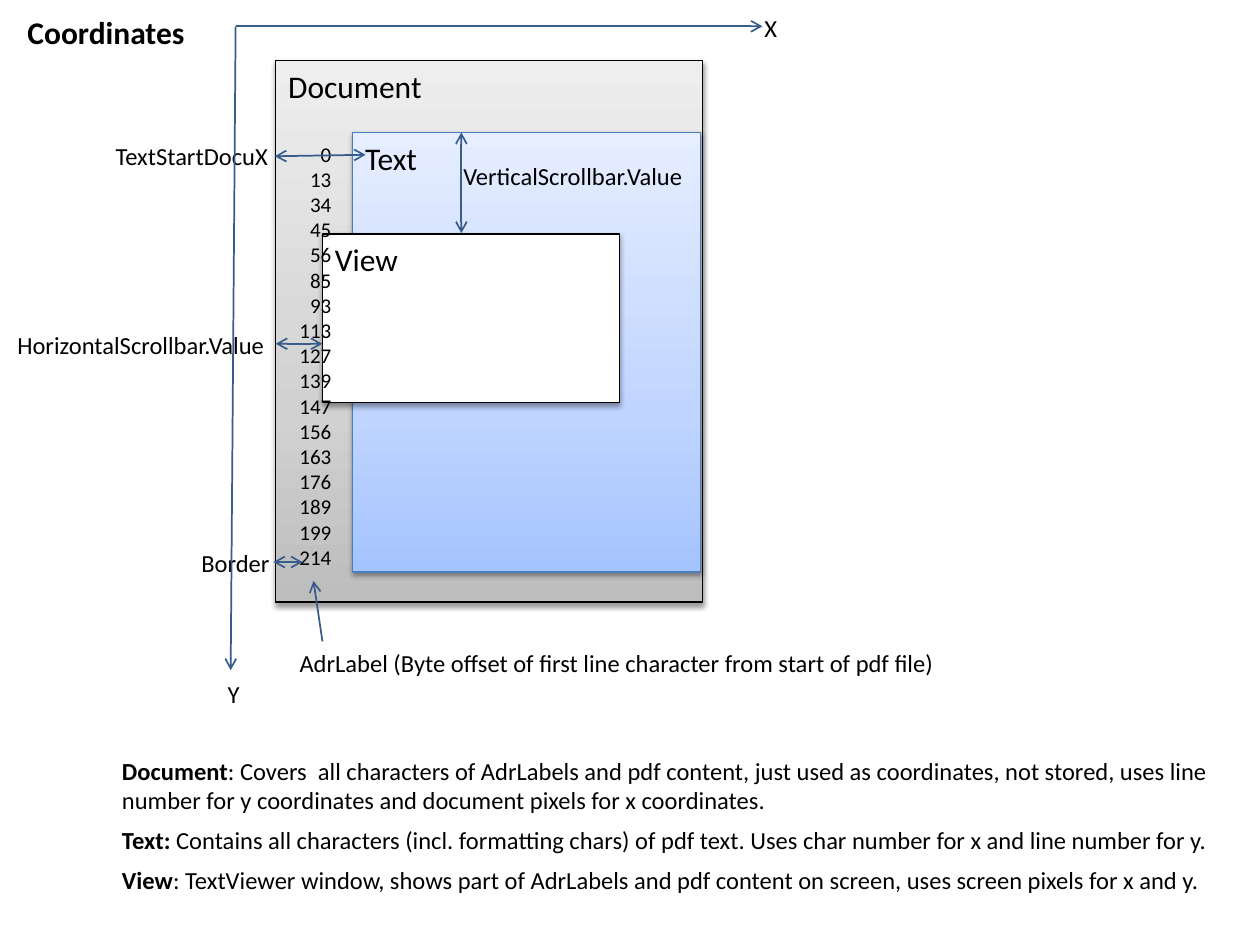
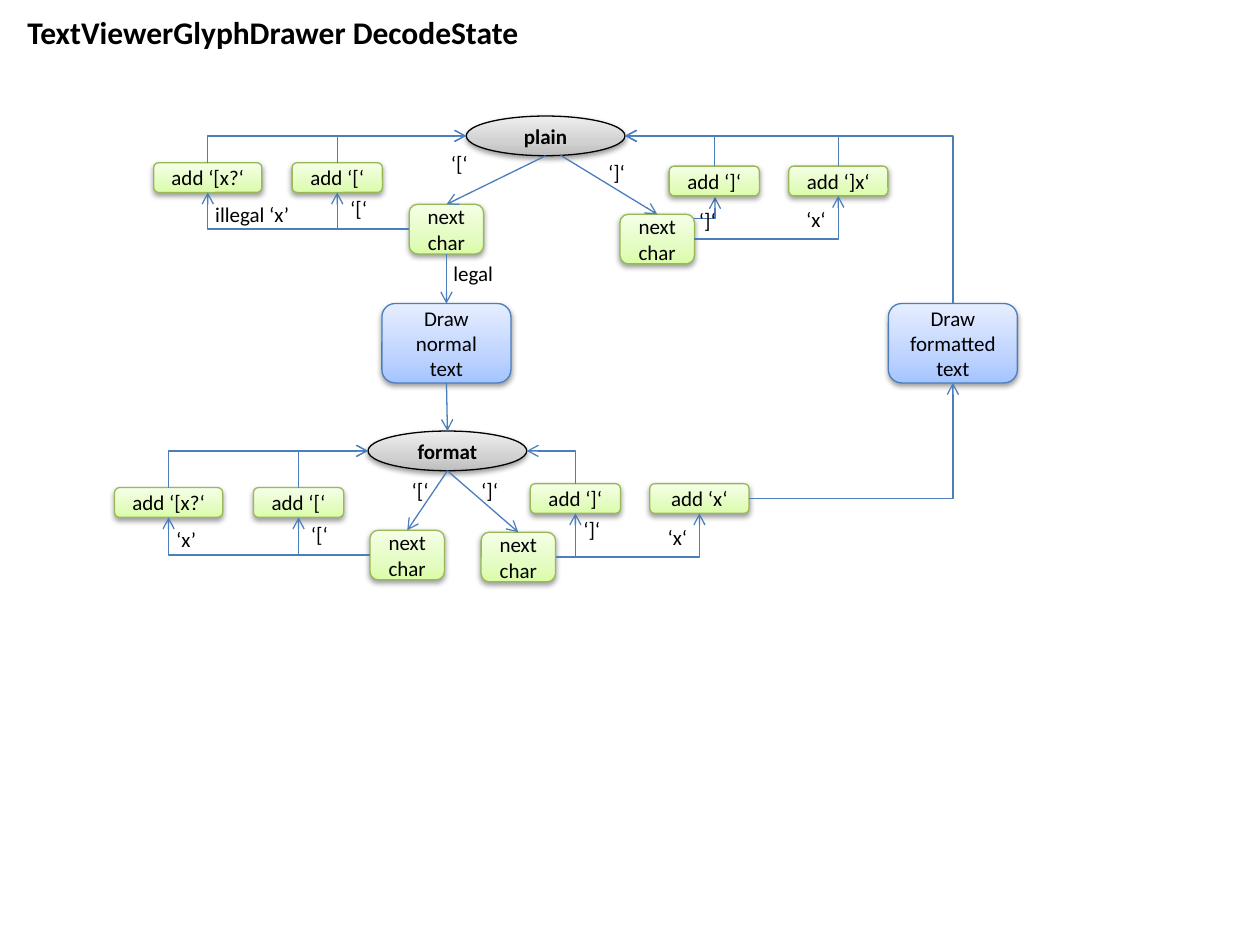
from copy import deepcopy
from dataclasses import dataclass

from lxml.etree import SubElement
from pptx import Presentation
from pptx.dml.color import RGBColor
from pptx.enum.shapes import MSO_CONNECTOR, MSO_SHAPE
from pptx.enum.text import MSO_ANCHOR, MSO_AUTO_SIZE, PP_ALIGN
from pptx.oxml.ns import qn
from pptx.util import Cm, Pt


@dataclass(frozen=True)
class Theme:
    font: str = "Calibri"
    ink: str = "000000"
    axis: str = "385D8A"
    flow: str = "4B7EBC"
    grey: tuple = (("BDBDBD", "D1D1D1", "EEEEEE"), "000000")
    blue: tuple = (("A4C4FF", "BFD4FF", "E6EEFF"), "4B7EBC")
    green: tuple = (("DAFDA7", "E4FCC2", "F5FFE7"), "98B955")
    white: tuple = (("FFFFFF",), "000000")
    heading: int = 18
    body: int = 14
    small: int = 12


theme = Theme()


def add_block(slide, frame, paragraphs, size, preset=None, look=None, wrap=True,
              align=PP_ALIGN.LEFT, anchor=MSO_ANCHOR.TOP, space_after=0):
    lengths = [Cm(length) for length in frame]
    if preset is None:
        block = slide.shapes.add_textbox(*lengths)
        block.text_frame.auto_size = MSO_AUTO_SIZE.SHAPE_TO_FIT_TEXT
    else:
        block = slide.shapes.add_shape(preset, *lengths)
        shades, outline = look
        if len(shades) == 1:
            block.fill.solid()
            block.fill.fore_color.rgb = RGBColor.from_string(shades[0])
        else:
            block.fill.gradient()
            block.fill.gradient_angle = 90
            stops = block.element.spPr.find(".//" + qn("a:gsLst"))
            stops.append(deepcopy(stops[0]))
            for stop, shade, position in zip(block.fill.gradient_stops, shades, (0, 0.35, 1)):
                stop.color.rgb = RGBColor.from_string(shade)
                stop.position = position
        block.line.color.rgb = RGBColor.from_string(outline)
        block.line.width = Pt(0.75)
        block.shadow.inherit = False
        shadow = SubElement(block.element.spPr.find(qn("a:effectLst")), qn("a:outerShdw"),
                            blurRad="40000", dist="20000", dir="5400000", rotWithShape="0")
        shade = SubElement(shadow, qn("a:srgbClr"), val=theme.ink)
        SubElement(shade, qn("a:alpha"), val="38000")
    block.text_frame.word_wrap = wrap
    block.text_frame.vertical_anchor = anchor
    for index, runs in enumerate(paragraphs):
        paragraph = block.text_frame.paragraphs[0] if index == 0 else block.text_frame.add_paragraph()
        paragraph.alignment = align
        paragraph.space_after = Pt(space_after)
        for words, bold in runs:
            run = paragraph.add_run()
            run.text = words
            run.font.name = theme.font
            run.font.size = Pt(size)
            run.font.bold = bold
            run.font.color.rgb = RGBColor.from_string(theme.ink)
    return block


def add_arrow(slide, start, end, color, width, heads=("tail",), bend=None):
    kind = MSO_CONNECTOR.ELBOW if bend else MSO_CONNECTOR.STRAIGHT
    arrow = slide.shapes.add_connector(kind, *(Cm(length) for length in (*start, *end)))
    arrow.line.color.rgb = RGBColor.from_string(color)
    arrow.line.width = Pt(width)
    properties = arrow.element.spPr
    for head in heads:
        SubElement(properties.find(qn("a:ln")), qn(f"a:{head}End"), type="arrow")
    SubElement(properties, qn("a:effectLst"))
    if bend:
        properties.find(qn("a:prstGeom")).set("prst", bend)
    return arrow


deck = Presentation()
deck.slide_width, deck.slide_height = Cm(25.4), Cm(19.05)

slides = []
for heading in ("Coordinates", "TextViewerGlyphDrawer DecodeState"):
    slide = deck.slides.add_slide(deck.slide_layouts[5])
    title = slide.shapes.title
    title.left, title.top, title.width, title.height = Cm(0.3), Cm(0.13), Cm(21.41), Cm(1.02)
    title.text_frame.vertical_anchor = MSO_ANCHOR.TOP
    title.text_frame.auto_size = MSO_AUTO_SIZE.NONE
    title.text_frame.word_wrap = True
    title.text_frame.paragraphs[0].alignment = PP_ALIGN.LEFT
    run = title.text_frame.paragraphs[0].add_run()
    run.text = heading
    run.font.name = theme.font
    run.font.size = Pt(theme.heading)
    run.font.bold = True
    run.font.color.rgb = RGBColor.from_string(theme.ink)
    slides.append(slide)
coordinates, decode_state = slides

for area, frame, look in (
    ("Document", (5.56, 1.22, 8.61, 10.92), theme.grey),
    ("Text", (7.11, 2.67, 7.01, 8.86), theme.blue),
    ("View", (6.5, 4.72, 5.99, 3.4), theme.white),
):
    add_block(coordinates, frame, [[(area, False)]], theme.heading, MSO_SHAPE.RECTANGLE, look)

offsets = (0, 13, 34, 45, 56, 85, 93, 113, 127, 139, 147, 156, 163, 176, 189, 199, 214)
add_block(coordinates, (5.69, 2.72, 1.24, 8.97), [[(str(offset), False)] for offset in offsets],
          theme.small, align=PP_ALIGN.RIGHT)

for caption, left, top, width in (
    ("X", 15.16, 0.13, 0.76),
    ("Y", 4.34, 13.56, 0.76),
    ("VerticalScrollbar.Value", 9.09, 3.12, 4.98),
    ("HorizontalScrollbar.Value", 0.1, 6.53, 5.54),
    ("AdrLabel (Byte offset of first line character from start of pdf file)", 5.79, 12.93, 13.41),
    ("Border", 3.81, 10.92, 1.9),
    ("TextStartDocuX", 2.08, 2.72, 3.61),
):
    add_block(coordinates, (left, top, width, 0.86), [[(caption, False)]], theme.body, wrap=False)

origin = (4.75, 0.53)
for start, end in ((origin, (15.37, 0.53)), (origin, (4.65, 13.51)), ((6.5, 12.93), (6.32, 11.71))):
    add_arrow(coordinates, start, end, theme.axis, 1)
for start, end in (
    ((9.3, 2.67), (9.3, 4.7)),
    ((5.56, 6.93), (6.5, 6.93)),
    ((5.51, 11.33), (6.1, 11.33)),
    ((7.37, 3.12), (5.54, 3.15)),
):
    add_arrow(coordinates, start, end, theme.axis, 1, ("head", "tail"))

definitions = (
    ("Document", ": Covers  all characters of AdrLabels and pdf content, just used as coordinates, "
     "not stored, uses line number for y coordinates and document pixels for x coordinates."),
    ("Text:", " Contains all characters (incl. formatting chars) of pdf text. "
     "Uses char number for x and line number for y."),
    ("View", ": TextViewer window, shows part of AdrLabels and pdf content on screen, "
     "uses screen pixels for x and y."),
)
add_block(coordinates, (2.21, 15.11, 22.68, 3.07),
          [[(term, True), (meaning, False)] for term, meaning in definitions],
          theme.body, space_after=6)

close_again = add_arrow(decode_state, (14.48, 4.78), (13.61, 4.04), theme.flow, 0.75,
                        bend="bentConnector3")
close_again.element.spPr.find(qn("a:xfrm")).set("rot", "5400000")

kinds = {
    "state": (MSO_SHAPE.OVAL, theme.grey, 0.8),
    "add": (MSO_SHAPE.ROUNDED_RECTANGLE, theme.green, 0.6),
    "next": (MSO_SHAPE.ROUNDED_RECTANGLE, theme.green, 1),
    "draw": (MSO_SHAPE.ROUNDED_RECTANGLE, theme.blue, 1.6),
}
steps = {}
frames = {}
for step, kind, words, left, top, width in (
    ("plain", "state", "plain", 9.4, 2.34, 3.2),
    ("plain illegal", "add", "add ‘[x?‘", 3.1, 3.28, 2.18),
    ("plain open", "add", "add ‘[‘", 5.89, 3.28, 1.82),
    ("plain close", "add", "add ‘]‘", 13.49, 3.35, 1.82),
    ("plain other", "add", "add ‘]x‘", 15.9, 3.35, 2),
    ("plain after open", "next", "next char", 8.25, 4.12, 1.5),
    ("plain after close", "next", "next char", 12.5, 4.32, 1.5),
    ("normal", "draw", "Draw normal text", 7.7, 6.12, 2.6),
    ("formatted", "draw", "Draw formatted text", 17.91, 6.12, 2.6),
    ("format", "state", "format", 7.42, 8.69, 3.2),
    ("format illegal", "add", "add ‘[x?‘", 2.31, 9.83, 2.18),
    ("format open", "add", "add ‘[‘", 5.11, 9.83, 1.82),
    ("format close", "add", "add ‘]‘", 10.69, 9.75, 1.82),
    ("format other", "add", "add ‘x‘", 13.1, 9.75, 2),
    ("format after open", "next", "next char", 7.46, 10.69, 1.5),
    ("format after close", "next", "next char", 9.7, 10.73, 1.5),
):
    preset, look, height = kinds[kind]
    frames[step] = (left, top, width, height)
    steps[step] = add_block(decode_state, frames[step], [[(words, kind == "state")]], theme.small,
                            preset, look, align=PP_ALIGN.CENTER, anchor=MSO_ANCHOR.MIDDLE)

sides = {"top": (0.5, 0), "left": (0, 0.5), "bottom": (0.5, 1), "right": (1, 0.5)}
straight, forward, backward = (None, "tail"), ("bentConnector2", "tail"), ("bentConnector2", "head")
for source, source_side, target, target_side, (bend, head) in (
    ("plain", "bottom", "plain after open", "top", straight),
    ("plain after open", "bottom", "normal", "top", straight),
    ("normal", "bottom", "format", "top", straight),
    ("format", "bottom", "format after open", "top", straight),
    ("format", "bottom", "format after close", "top", straight),
    ("plain after open", "left", "plain open", "bottom", forward),
    ("plain after open", "left", "plain illegal", "bottom", forward),
    ("plain after close", "right", "plain other", "bottom", forward),
    ("format after open", "left", "format open", "bottom", forward),
    ("format after open", "left", "format illegal", "bottom", forward),
    ("format after close", "right", "format close", "bottom", forward),
    ("format after close", "right", "format other", "bottom", forward),
    ("format other", "right", "formatted", "bottom", forward),
    ("plain", "left", "plain open", "top", backward),
    ("plain", "left", "plain illegal", "top", backward),
    ("plain", "right", "plain close", "top", backward),
    ("plain", "right", "plain other", "top", backward),
    ("plain", "right", "formatted", "top", backward),
    ("format", "left", "format open", "top", backward),
    ("format", "left", "format illegal", "top", backward),
    ("format", "right", "format close", "top", backward),
):
    ends = []
    for step, side in ((source, source_side), (target, target_side)):
        left, top, width, height = frames[step]
        across, down = sides[side]
        ends.append((left + across * width, top + down * height))
    arrow = add_arrow(decode_state, *ends, theme.flow, 0.75, (head,), bend)
    glue = arrow.element.nvCxnSpPr.cNvCxnSpPr
    for tag, step, side in (("a:stCxn", source, source_side), ("a:endCxn", target, target_side)):
        site = list(sides).index(side) * (2 if step in ("plain", "format") else 1)
        SubElement(glue, qn(tag), id=str(steps[step].shape_id), idx=str(site))

add_arrow(decode_state, (11.3, 3.13), (13.25, 4.32), theme.flow, 0.75)

for condition, left, top, width in (
    ("‘[‘", 8.84, 2.92, 0.86),
    ("‘[‘", 6.81, 3.81, 0.86),
    ("legal", 8.89, 5.13, 1.32),
    ("‘]‘", 12.01, 3.1, 0.86),
    ("‘]‘", 13.84, 4.06, 0.86),
    ("illegal ‘x’", 4.09, 3.94, 2.03),
    ("‘x‘", 16, 4.04, 0.91),
    ("‘[‘", 8.05, 9.5, 0.86),
    ("‘[‘", 6.02, 10.39, 0.86),
    ("‘x’", 3.3, 10.49, 0.91),
    ("‘]‘", 9.45, 9.5, 0.86),
    ("‘]‘", 11.51, 10.29, 0.86),
    ("‘x‘", 13.21, 10.44, 0.91),
):
    add_block(decode_state, (left, top, width, 0.76), [[(condition, False)]], theme.small, wrap=False)

deck.save("out.pptx")
